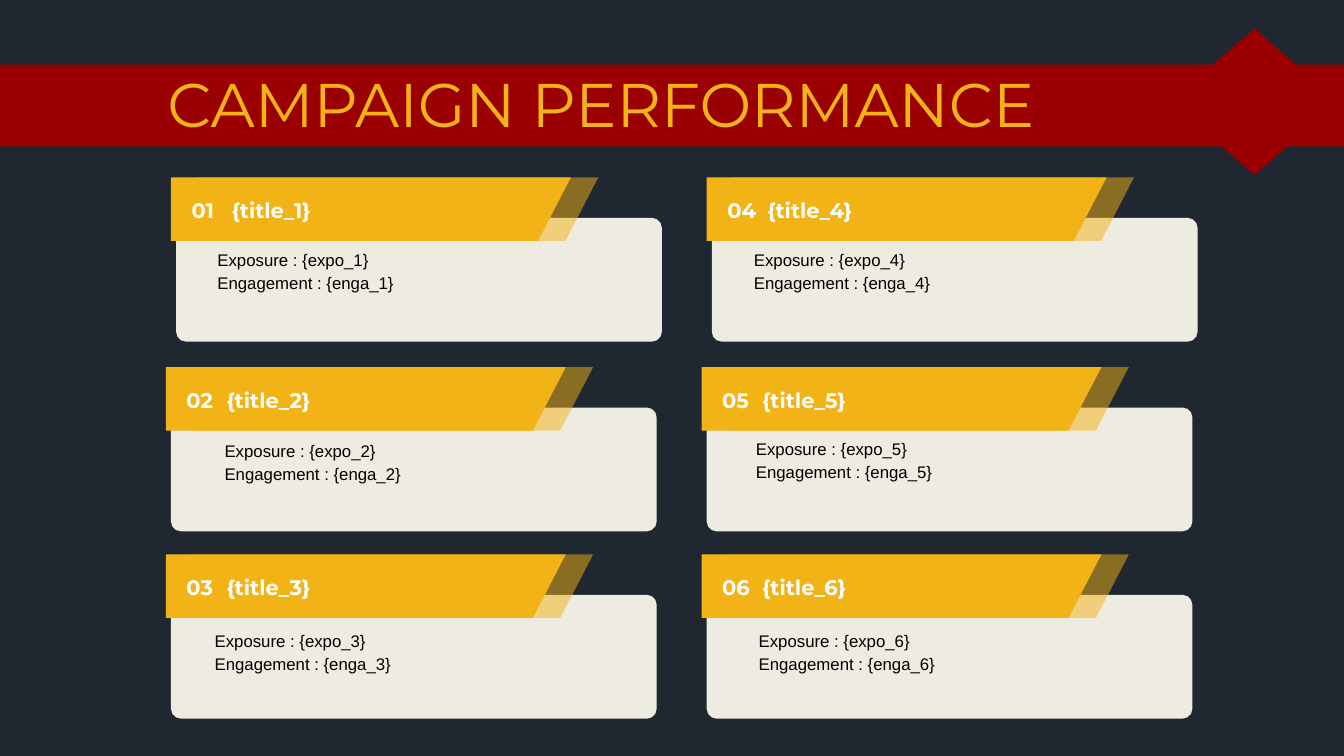
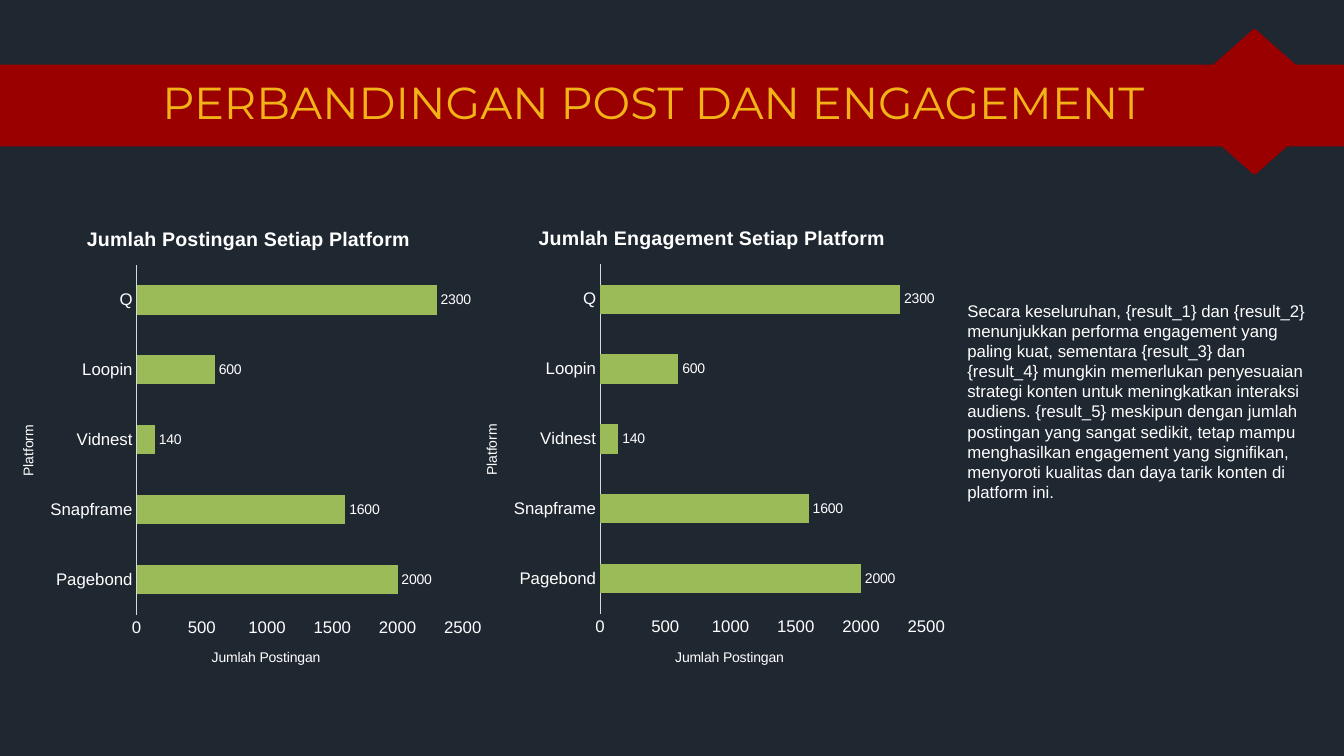
"""Build a two-slide campaign report: six performance cards and two platform charts."""
from lxml import etree
from pptx import Presentation
from pptx.chart.data import CategoryChartData
from pptx.dml.color import RGBColor
from pptx.enum.chart import XL_CHART_TYPE, XL_LABEL_POSITION, XL_TICK_MARK
from pptx.enum.shapes import MSO_SHAPE
from pptx.enum.text import MSO_ANCHOR, MSO_AUTO_SIZE
from pptx.oxml.ns import qn
from pptx.util import Cm, Pt

RECTANGLE, DIAMOND, ROUNDED = MSO_SHAPE.RECTANGLE, MSO_SHAPE.DIAMOND, MSO_SHAPE.ROUNDED_RECTANGLE
TOP, MIDDLE, GROW = MSO_ANCHOR.TOP, MSO_ANCHOR.MIDDLE, MSO_AUTO_SIZE.SHAPE_TO_FIT_TEXT
BAR, OUTSIDE, NO_TICK = XL_CHART_TYPE.BAR_CLUSTERED, XL_LABEL_POSITION.OUTSIDE_END, XL_TICK_MARK.NONE

NIGHT, RED, GOLD, CREAM = "1F2731", "9A0000", "F1B316", "EEECE1"
WHITE, BLACK, GREEN, GREY = "FFFFFF", "000000", "9BBB59", "D9D9D9"
HEADING, BODY = "Montserrat", "Arial"
SLIDE_WIDTH, SLIDE_HEIGHT = 33.87, 19.05
PADDING = (0.25, 0.13, 0.25, 0.13)

CARDS_TITLE = ("CAMPAIGN PERFORMANCE", 44, (4.22, 1.65, 24.26, 1.88))
CHARTS_TITLE = ("PERBANDINGAN POST DAN ENGAGEMENT", 32, (4.09, 1.88, 27.99, 1.37))

ROW_TOPS = (4.47, 9.25, 13.97)
ROW_LEFTS = (4.31, 4.18, 4.18)
COLUMN_STEP = 13.5
TAB_HEIGHT, TAB_SLANT = 1.6, 0.83
DETAIL_BOXES = [
    (5.23, 6.17, 7.26), (5.41, 10.97, 9.68), (5.16, 15.77, 9.68),
    (18.75, 6.17, 11.05), (18.8, 10.92, 9.68), (18.87, 15.77, 9.68),
]

PLATFORM_POSTS = {"Pagebond": 2000, "Snapframe": 1600, "Vidnest": 140, "Loopin": 600, "Q": 2300}
CHARTS = [
    ("Jumlah Postingan Setiap Platform", (0.13, 5.23, 12.27, 12.07)),
    ("Jumlah Engagement Setiap Platform", (11.81, 5.21, 12.27, 12.07)),
]
PLOT_LAYOUT = {"x": 0.27, "y": 0.12, "w": 0.67, "h": 0.73}
SUMMARY = (
    "Secara keseluruhan, {result_1} dan {result_2} menunjukkan performa engagement yang "
    "paling kuat, sementara {result_3} dan {result_4} mungkin memerlukan penyesuaian strategi "
    "konten untuk meningkatkan interaksi audiens. {result_5} meskipun dengan jumlah postingan "
    "yang sangat sedikit, tetap mampu menghasilkan engagement yang signifikan, menyoroti "
    "kualitas dan daya tarik konten di platform ini."
)


def color(value):
    return RGBColor.from_string(value)


def style_font(font, size, tint, name=BODY, bold=False):
    font.size, font.name, font.bold = Pt(size), name, bold
    font.color.rgb = color(tint)


def paint(shape, tint, line_width=0):
    shape.shadow.inherit = False
    shape.fill.solid()
    shape.fill.fore_color.rgb = color(tint)
    if line_width:
        shape.line.color.rgb = color(tint)
        shape.line.width = Pt(line_width)
    else:
        shape.line.fill.background()


def add_block(shapes, kind, area, tint, line_width=0):
    block = shapes.add_shape(kind, *map(Cm, area))
    paint(block, tint, line_width)
    return block


def add_text(shapes, lines, area, size, tint, name=BODY, bold=False,
             insets=PADDING, anchor=TOP, wrap=True, before=0):
    box = shapes.add_textbox(*map(Cm, area))
    frame = box.text_frame
    frame.word_wrap, frame.vertical_anchor = wrap, anchor
    if anchor == TOP:
        frame.auto_size = GROW
    frame.margin_left, frame.margin_top, frame.margin_right, frame.margin_bottom = map(Cm, insets)
    frame.text = "\n".join(lines)
    for paragraph in frame.paragraphs:
        paragraph.space_before = Pt(before)
        style_font(paragraph.font, size, tint, name, bold)


def add_page(deck, title, size, area):
    page = deck.slides.add_slide(deck.slide_layouts[6])
    page.background.fill.solid()
    page.background.fill.fore_color.rgb = color(NIGHT)
    add_block(page.shapes, RECTANGLE, (0, 1.63, SLIDE_WIDTH, 2.06), RED)
    add_block(page.shapes, DIAMOND, (29.57, 0.76, 4.09, 3.61), RED, 2)
    add_text(page.shapes, [title], area, size, GOLD, HEADING, insets=(0, 0, 0, 0))
    return page


def add_tab(shapes, left, top, width, opacity=100):
    right, bottom = left + width, top + TAB_HEIGHT
    outline = [(right, top), (right - TAB_SLANT, bottom), (left, bottom)]
    builder = shapes.build_freeform(Cm(left), Cm(top))
    builder.add_line_segments([(Cm(x), Cm(y)) for x, y in outline], close=True)
    tab = builder.convert_to_shape()
    paint(tab, GOLD)
    if opacity < 100:
        fill_color = tab.element.find(".//" + qn("a:srgbClr"))
        etree.SubElement(fill_color, qn("a:alpha"), val=str(opacity * 1000))


def add_card(page, number, left, top):
    shapes = page.shapes.add_group_shape().shapes
    panel = add_block(shapes, ROUNDED, (left + 0.13, top + 1.02, 12.24, 3.12), CREAM)
    panel.adjustments[0] = 0.08
    add_tab(shapes, left + 0.61, top, 10.16, 50)
    add_tab(shapes, left, top, 10.08)
    labels = [(f"{number:02}", 0.27, 1.47, 0, False), (f"{{title_{number}}}", 1.28, 9.14, 0.25, True)]
    for text, offset, width, right_inset, wrap in labels:
        add_text(shapes, [text], (left + offset, top + 0.33, width, 0.99), 15, WHITE, HEADING, True,
                 (0.25, 0, right_inset, 0), MIDDLE, wrap)


def set_title(owner, text, size, bold=False):
    frame = owner.text_frame
    frame.text = text
    style_font(frame.paragraphs[0].font, size, WHITE, bold=bold)


def set_plot_layout(chart):
    plot_area = chart.element.find(".//" + qn("c:plotArea"))
    for old in plot_area.findall(qn("c:layout")):
        plot_area.remove(old)
    layout = etree.Element(qn("c:layout"))
    manual = etree.SubElement(layout, qn("c:manualLayout"))
    settings = {"layoutTarget": "inner", "xMode": "edge", "yMode": "edge", **PLOT_LAYOUT}
    for name, value in settings.items():
        etree.SubElement(manual, qn("c:" + name), val=str(value))
    plot_area.insert(0, layout)


def add_bar_chart(page, title, area):
    data = CategoryChartData()
    data.categories = list(PLATFORM_POSTS)
    data.add_series("Series 1", list(PLATFORM_POSTS.values()))
    chart = page.shapes.add_chart(BAR, *map(Cm, area), data).chart
    style_font(chart.font, 10, WHITE)
    chart.has_legend = False
    set_title(chart.chart_title, title, 14, True)

    plot = chart.plots[0]
    plot.gap_width, plot.overlap, plot.vary_by_categories = 140, -40, False
    bars = plot.series[0].format.fill
    bars.solid()
    bars.fore_color.rgb = color(GREEN)
    plot.has_data_labels = True
    plot.data_labels.show_value = True
    plot.data_labels.position = OUTSIDE
    style_font(plot.data_labels.font, 10, WHITE)

    category_axis, value_axis = chart.category_axis, chart.value_axis
    for axis, name in ((category_axis, "Platform"), (value_axis, "Jumlah Postingan")):
        axis.has_major_gridlines = False
        axis.major_tick_mark = axis.minor_tick_mark = NO_TICK
        style_font(axis.tick_labels.font, 12, WHITE)
        set_title(axis.axis_title, name, 10)
    category_axis.format.line.color.rgb = color(GREY)
    category_axis.format.line.width = Pt(0.75)
    value_axis.format.line.fill.background()
    value_axis.minimum_scale, value_axis.maximum_scale, value_axis.major_unit = 0, 2500, 500
    set_plot_layout(chart)


def build_cards_page(deck):
    page = add_page(deck, *CARDS_TITLE)
    for index, (left, top, width) in enumerate(DETAIL_BOXES):
        column, row = divmod(index, len(ROW_TOPS))
        number = index + 1
        add_card(page, number, ROW_LEFTS[row] + column * COLUMN_STEP, ROW_TOPS[row])
        lines = [f"Exposure : {{expo_{number}}}", f"Engagement : {{enga_{number}}}"]
        add_text(page.shapes, lines, (left, top, width, 1.35), 12, BLACK, before=2)


def build_charts_page(deck):
    page = add_page(deck, *CHARTS_TITLE)
    add_text(page.shapes, [SUMMARY], (24.13, 7.44, 9.12, 5.38), 12, WHITE)
    for title, area in CHARTS:
        add_bar_chart(page, title, area)


def main():
    deck = Presentation()
    deck.slide_width, deck.slide_height = Cm(SLIDE_WIDTH), Cm(SLIDE_HEIGHT)
    build_cards_page(deck)
    build_charts_page(deck)
    deck.save("out.pptx")


if __name__ == "__main__":
    main()
